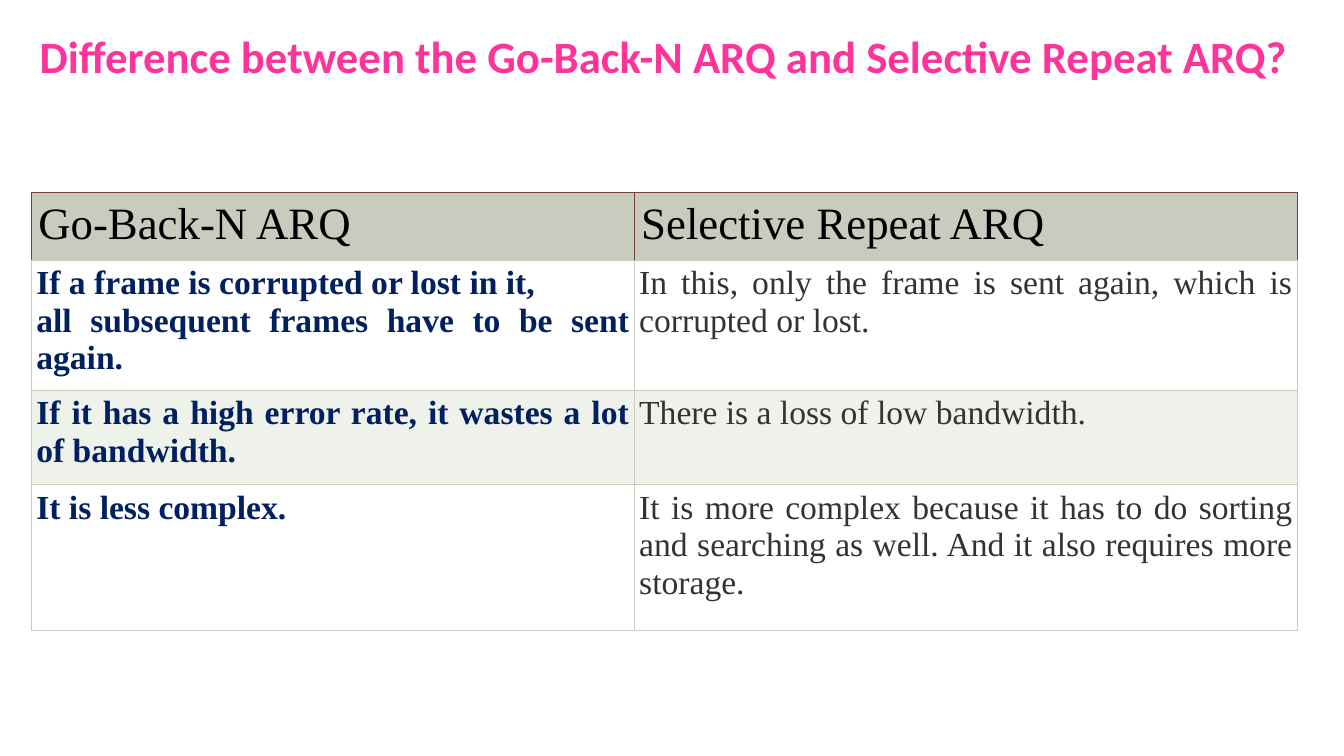
from dataclasses import dataclass

from lxml.etree import SubElement
from pptx import Presentation
from pptx.dml.color import RGBColor
from pptx.enum.text import MSO_ANCHOR, PP_ALIGN
from pptx.oxml.ns import qn
from pptx.util import Inches, Pt


@dataclass(frozen=True)
class Theme:
    title_font: str = "Calibri"
    table_font: str = "Times New Roman"
    heading_size: int = 32
    body_size: int = 24
    border_width: float = 0.6
    pink: str = "FF3399"
    black: str = "000000"
    navy: str = "002060"
    charcoal: str = "333333"
    sage: str = "C7CCBE"
    pale_sage: str = "EFF1EB"
    white: str = "FFFFFF"
    brown: str = "704238"


theme = Theme()


def add_text(paragraph, text, font_name, size, color, bold, alignment):
    paragraph.alignment = alignment
    run = paragraph.add_run()
    run.text = text
    run.font.name = font_name
    run.font.size = Pt(size)
    run.font.bold = bold
    run.font.color.rgb = RGBColor.from_string(color)


def add_borders(cell, colors):
    properties = cell._tc.get_or_add_tcPr()
    for position, (side, color) in enumerate(zip(("lnL", "lnR", "lnT", "lnB"), colors)):
        line = SubElement(properties, qn(f"a:{side}"), w=str(Pt(theme.border_width)))
        fill = SubElement(line, qn("a:solidFill"))
        SubElement(fill, qn("a:srgbClr"), val=color)
        properties.insert(position, line)


presentation = Presentation()
presentation.slide_width = Inches(13.33)
presentation.slide_height = Inches(7.5)
slide = presentation.slides.add_slide(presentation.slide_layouts[5])

title = slide.shapes.title
title.left, title.top = Inches(0.12), Inches(0.23)
title.width, title.height = Inches(12.93), Inches(0.64)
title.text_frame.word_wrap = True
title.text_frame.vertical_anchor = MSO_ANCHOR.MIDDLE
add_text(
    title.text_frame.paragraphs[0],
    "Difference between the Go-Back-N ARQ and Selective Repeat ARQ?",
    theme.title_font, theme.heading_size, theme.pink, True, PP_ALIGN.CENTER,
)

comparison = [
    (["Go-Back-N ARQ"], ["Selective Repeat ARQ"]),
    (
        ["If a frame is corrupted or lost in it,", "all subsequent frames have to be sent again."],
        ["In this, only the frame is sent again, which is corrupted or lost."],
    ),
    (
        ["If it has a high error rate, it wastes a lot of bandwidth."],
        ["There is a loss of low bandwidth."],
    ),
    (
        ["It is less complex."],
        ["It is more complex because it has to do sorting and searching as well. "
         "And it also requires more storage."],
    ),
]
column_widths = [5.98, 6.58]
row_heights = [0.67, 1.29, 0.94, 1.44]
row_fills = [theme.sage, theme.white, theme.pale_sage, theme.white]

table = slide.shapes.add_table(
    len(row_heights), len(column_widths), Inches(0.31), Inches(1.91),
    Inches(sum(column_widths)), Inches(sum(row_heights)),
).table
table.first_row = False
table.horz_banding = False
for column, width in zip(table.columns, column_widths):
    column.width = Inches(width)

for row_index, row_texts in enumerate(comparison):
    table.rows[row_index].height = Inches(row_heights[row_index])
    is_header = row_index == 0
    margin = Inches(0.07 if is_header else 0.05)
    size = theme.heading_size if is_header else theme.body_size
    alignment = PP_ALIGN.LEFT if is_header else PP_ALIGN.JUSTIFY
    edge = theme.brown if is_header else theme.sage
    for column_index, texts in enumerate(row_texts):
        cell = table.cell(row_index, column_index)
        cell.margin_left = cell.margin_right = margin
        cell.margin_top = cell.margin_bottom = margin
        cell.vertical_anchor = MSO_ANCHOR.TOP
        cell.fill.solid()
        cell.fill.fore_color.rgb = RGBColor.from_string(row_fills[row_index])
        top_edge = edge
        add_borders(cell, (edge, edge, top_edge, theme.sage))
        bold = not is_header and column_index == 0
        body_color = theme.navy if column_index == 0 else theme.charcoal
        color = theme.black if is_header else body_color
        for text_index, text in enumerate(texts):
            frame = cell.text_frame
            paragraph = frame.add_paragraph() if text_index else frame.paragraphs[0]
            add_text(paragraph, text, theme.table_font, size, color, bold, alignment)

presentation.save("out.pptx")
